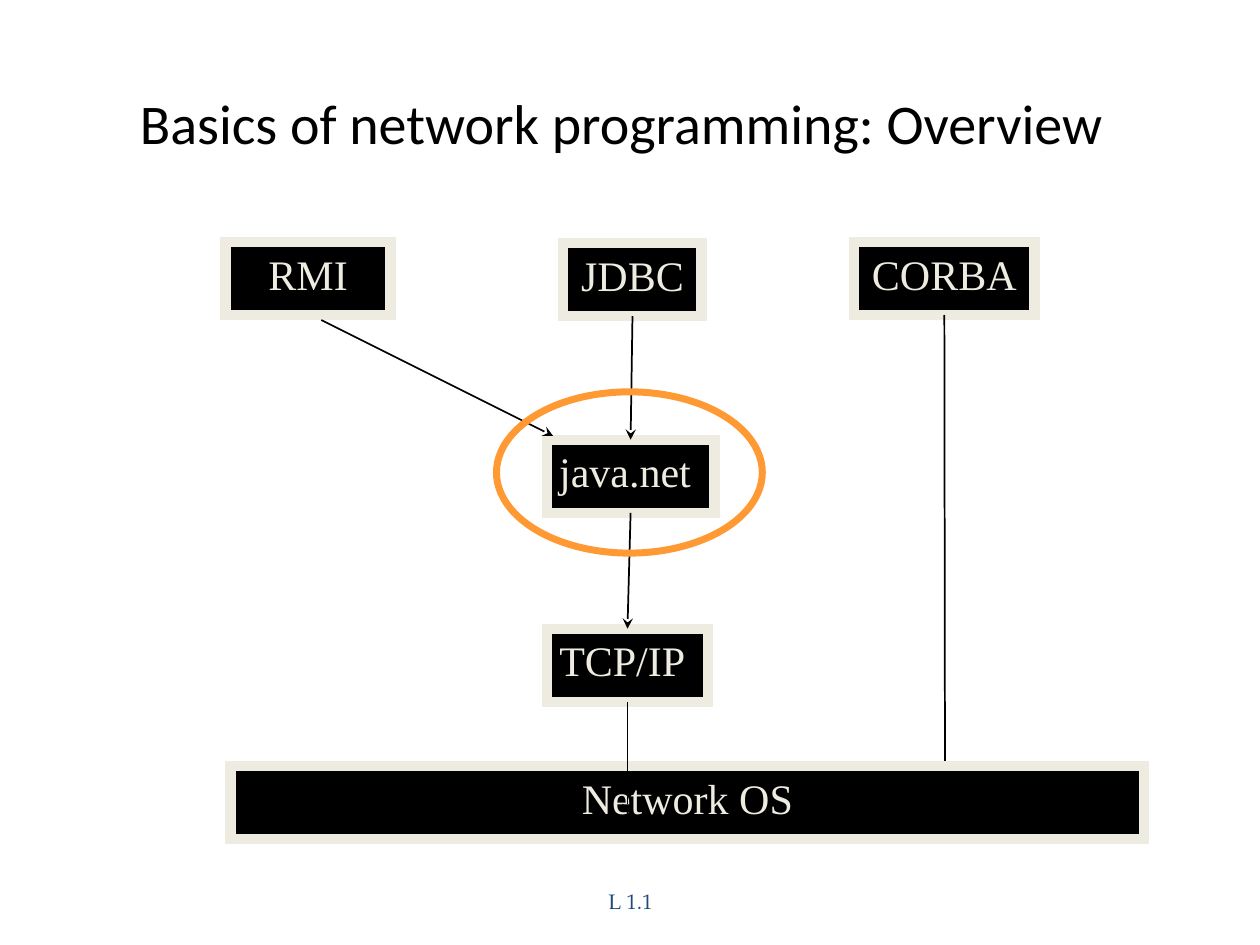
from dataclasses import dataclass
from typing import Optional

from lxml.etree import SubElement
from pptx import Presentation
from pptx.dml.color import RGBColor
from pptx.enum.shapes import MSO_CONNECTOR as Link, MSO_SHAPE as Preset
from pptx.enum.text import MSO_ANCHOR as Anchor, PP_ALIGN as Align
from pptx.oxml.ns import qn
from pptx.util import Inches, Pt

COLUMNS, ROWS = 100, 75
TOP, BOTTOM = 0, 2
LAYER_HEIGHT = 5.8


@dataclass(frozen=True)
class Theme:
    ink: str = "000000"
    cream: str = "EEECE1"
    highlight: str = "FF9933"
    footer: str = "1F497D"
    title_font: str = "Calibri"
    layer_font: str = "Times New Roman"
    footer_font: str = "TeX Gyre Pagella"
    title_size: int = 32
    layer_size: int = 24
    footer_size: int = 12
    border: int = 6
    ring: int = 4
    arrow: int = 1


@dataclass(frozen=True)
class Layer:
    name: str
    column: float
    row: float
    columns: float
    align: Align = Align.CENTER
    wrap: bool = False


@dataclass(frozen=True)
class Arrow:
    start: tuple[float, float]
    end: tuple[float, float]
    source: Optional[str] = None
    target: Optional[str] = None


THEME = Theme()
API_LAYERS = [
    Layer("TCP/IP", 43.4, 49.9, 12.8, Align.LEFT),
    Layer("java.net", 43.4, 34.9, 13.3, Align.LEFT),
    Layer("RMI", 17.9, 19.2, 13.1, wrap=True),
    Layer("JDBC", 44.7, 19.3, 11),
    Layer("CORBA", 67.8, 19.2, 14.3),
]
NETWORK_OS = Layer("Network OS", 18.3, 60.8, 72.5, wrap=True)
CALLS = [
    Arrow((50.2, 25.5), (50.2, 34.7), "JDBC", "java.net"),
    Arrow((25.5, 25.4), (43.9, 34.6)),
    Arrow((50, 41.3), (50, 49.7), "java.net", "TCP/IP"),
    Arrow((75, 25), (75, 63.3), "CORBA"),
]
TO_OS = Arrow((49.8, 56.2), (49.8, 64.6), "TCP/IP")

deck = Presentation()
deck.slide_width, deck.slide_height = Inches(10), Inches(7.5)
slide = deck.slides.add_slide(deck.slide_layouts[6])
boxes = {}


def x(columns: float) -> int:
    """Turn grid columns into a length."""
    return round(deck.slide_width * columns / COLUMNS)


def y(rows: float) -> int:
    """Turn grid rows into a length."""
    return round(deck.slide_height * rows / ROWS)


def write(shape, text: str, font: str, size: int, colour: str, align: Align,
          **frame_format) -> None:
    """Fill a shape with one formatted line of text."""
    frame = shape.text_frame
    for attribute, value in frame_format.items():
        setattr(frame, attribute, value)
    paragraph = frame.paragraphs[0]
    paragraph.alignment = align
    run = paragraph.add_run()
    run.text = text
    for attribute, value in {"name": font, "size": Pt(size)}.items():
        setattr(run.font, attribute, value)
    run.font.color.rgb = RGBColor.from_string(colour)


def outline(shape, colour: str, width: int) -> None:
    """Give a shape a solid line."""
    shape.line.color.rgb = RGBColor.from_string(colour)
    shape.line.width = Pt(width)


def draw_layer(layer: Layer) -> None:
    """Draw one framed software layer."""
    box = slide.shapes.add_shape(Preset.RECTANGLE, x(layer.column), y(layer.row),
                                 x(layer.columns), y(LAYER_HEIGHT))
    box.shadow.inherit = False
    box.fill.solid()
    box.fill.fore_color.rgb = RGBColor.from_string(THEME.ink)
    outline(box, THEME.cream, THEME.border)
    SubElement(box.line._get_or_add_ln(), qn("a:miter"), lim="800000")
    write(box, layer.name, THEME.layer_font, THEME.layer_size, THEME.cream, layer.align,
          word_wrap=layer.wrap, vertical_anchor=Anchor.TOP)
    boxes[layer.name] = box


def draw_arrow(arrow: Arrow) -> None:
    """Draw one arrow, joined to the layers it names."""
    (left, top), (right, bottom) = arrow.start, arrow.end
    link = slide.shapes.add_connector(Link.STRAIGHT, x(left), y(top), x(right), y(bottom))
    if arrow.source:
        link.begin_connect(boxes[arrow.source], BOTTOM)
    if arrow.target:
        link.end_connect(boxes[arrow.target], TOP)
    outline(link, THEME.ink, THEME.arrow)
    SubElement(link.line._get_or_add_ln(), qn("a:tailEnd"), type="stealth")
    SubElement(link._element.spPr, qn("a:effectLst"))


def draw_highlight(column: float, row: float, columns: float, rows: float) -> None:
    """Ring the layer in focus."""
    ring = slide.shapes.add_shape(Preset.OVAL, x(column), y(row), x(columns), y(rows))
    ring.shadow.inherit = False
    ring.fill.background()
    outline(ring, THEME.highlight, THEME.ring)


def main() -> None:
    """Build the overview slide."""
    footer = slide.shapes.add_textbox(x(34.2), y(69.5), x(31.7), y(4))
    write(footer, "L 1.1", THEME.footer_font, THEME.footer_size, THEME.footer, Align.CENTER,
          word_wrap=True, vertical_anchor=Anchor.MIDDLE)
    title = slide.shapes.add_textbox(x(5), y(3), x(90), y(12.5))
    write(title, "Basics of network programming: Overview", THEME.title_font,
          THEME.title_size, THEME.ink, Align.CENTER, word_wrap=True,
          vertical_anchor=Anchor.MIDDLE, margin_top=y(1.3), margin_right=x(2.3))
    for layer in API_LAYERS:
        draw_layer(layer)
    for call in CALLS:
        draw_arrow(call)
    draw_layer(NETWORK_OS)
    draw_arrow(TO_OS)
    draw_highlight(39.4, 31.1, 21.1, 12.8)
    deck.save("out.pptx")


if __name__ == "__main__":
    main()
